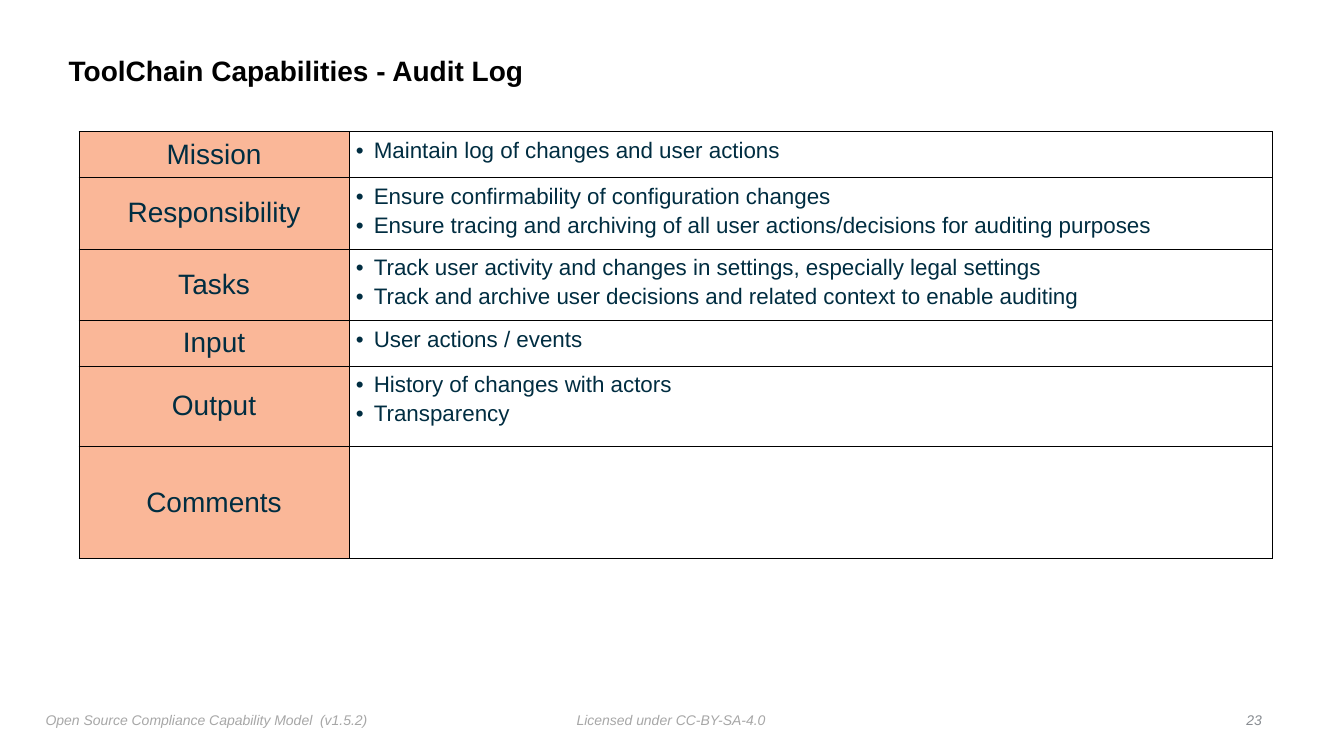
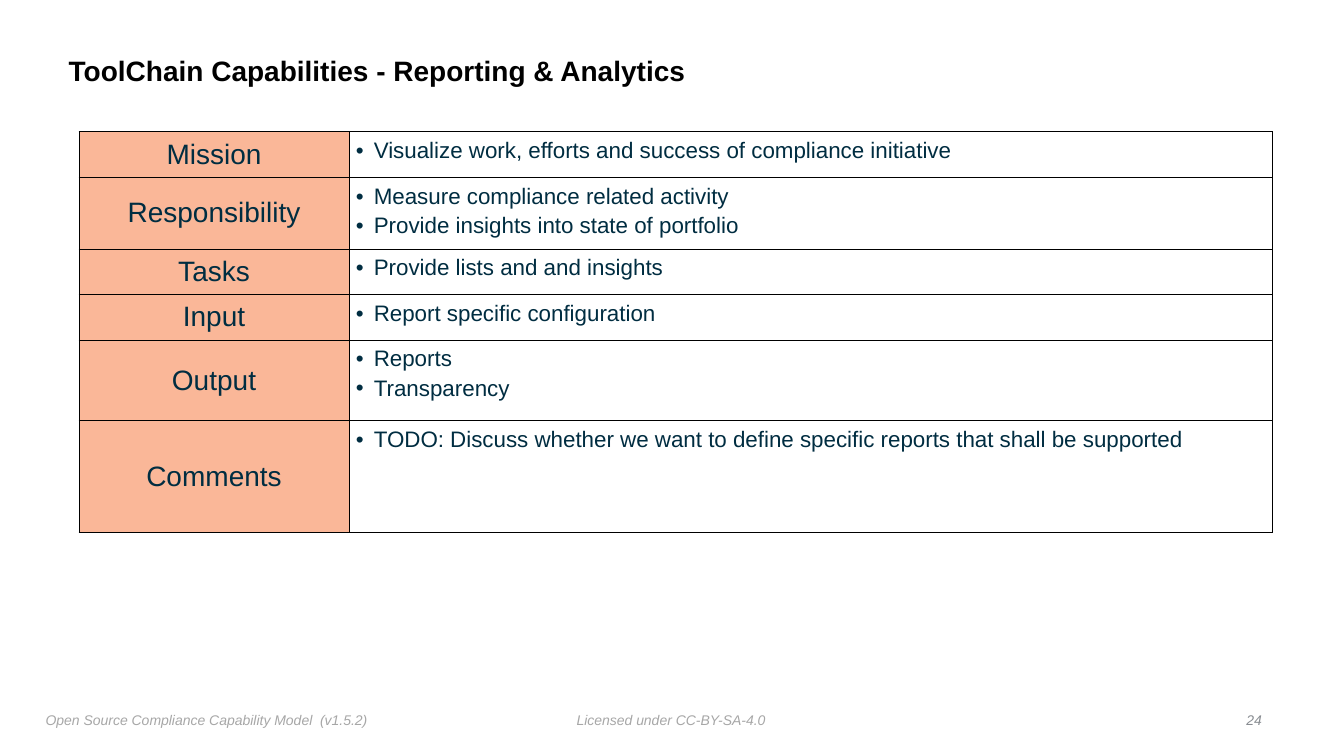
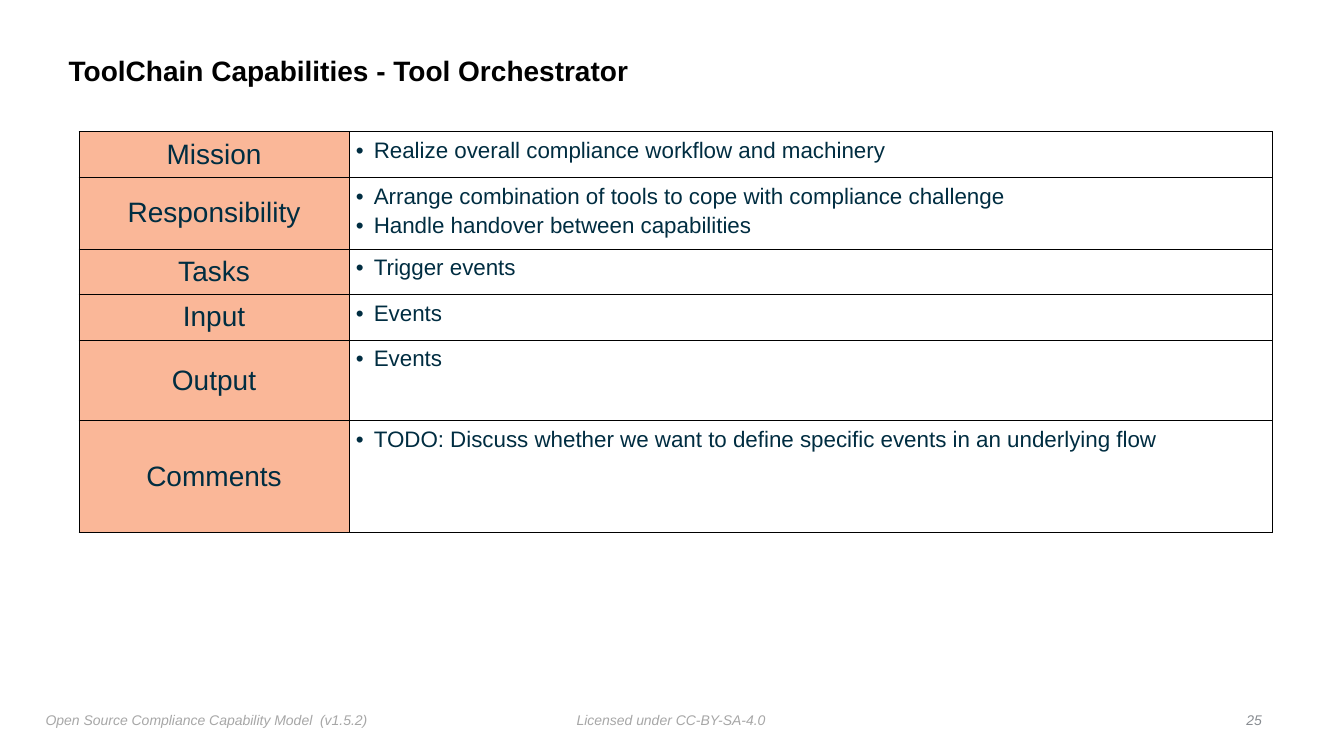
from lxml import etree
from pptx import Presentation
from pptx.dml.color import RGBColor
from pptx.enum.text import MSO_ANCHOR, MSO_AUTO_SIZE, PP_ALIGN
from pptx.oxml.ns import qn
from pptx.util import Cm, Pt

LEFT, CENTER, RIGHT = PP_ALIGN.LEFT, PP_ALIGN.CENTER, PP_ALIGN.RIGHT
TOP, MIDDLE = MSO_ANCHOR.TOP, MSO_ANCHOR.MIDDLE
NO_RESIZE = MSO_AUTO_SIZE.NONE

TOPICS = ["Mission", "Responsibility", "Tasks", "Input", "Output", "Comments"]
MINIMUM_HEIGHTS = [1.15, 1.15, 1.15, 1.15, 2.03, 2.82]
TWO_LINE_HEIGHT = 1.71
FIRST_PAGE = 23

CAPABILITIES = {
    "Audit Log": [
        ["Maintain log of changes and user actions"],
        ["Ensure confirmability of configuration changes",
         "Ensure tracing and archiving of all user actions/decisions for auditing purposes"],
        ["Track user activity and changes in settings, especially legal settings",
         "Track and archive user decisions and related context to enable auditing"],
        ["User actions / events"],
        ["History of changes with actors", "Transparency"],
        [],
    ],
    "Reporting & Analytics": [
        ["Visualize work, efforts and success of compliance initiative"],
        ["Measure compliance related activity", "Provide insights into state of portfolio"],
        ["Provide lists and and insights"],
        ["Report specific configuration"],
        ["Reports", "Transparency"],
        ["TODO: Discuss whether we want to define specific reports that shall be supported"],
    ],
    "Tool Orchestrator": [
        ["Realize overall compliance workflow and machinery"],
        ["Arrange combination of tools to cope with compliance challenge",
         "Handle handover between capabilities"],
        ["Trigger events"],
        ["Events"],
        ["Events"],
        ["TODO: Discuss whether we want to define specific events in an underlying flow"],
    ],
}


def color(value):
    return RGBColor.from_string(value)


class CapabilityDeck:
    font_name = "Arial"
    black = "000000"
    navy = "002D41"
    peach = "FAB798"
    footer_gray = "A7A7A7"
    number_gray = "888C91"

    def __init__(self):
        self.deck = Presentation()
        self.deck.slide_width = Cm(33.87)
        self.deck.slide_height = Cm(19.05)
        self.slide = None

    def format(self, para, size, hue, align=LEFT, bold=False, italic=False):
        para.alignment = align
        font = para.font
        font.name, font.size, font.bold, font.italic = self.font_name, Pt(size), bold, italic
        font.color.rgb = color(hue)

    def inset(self, target, margin):
        target.margin_left = target.margin_right = Cm(margin)
        target.margin_top = target.margin_bottom = Cm(margin)

    def add_page(self, title, number):
        self.slide = self.deck.slides.add_slide(self.deck.slide_layouts[5])
        self.title(title)
        self.footer("Licensed under CC-BY-SA-4.0", 14.4, 17.8, 5.05)
        self.footer("Open Source Compliance Capability Model  (v1.5.2)", 1.02, 17.8, 8.43)
        self.footer(str(number), 31.24, 17.83, 0.69, self.number_gray, RIGHT)

    def title(self, text):
        box = self.slide.shapes.title
        box.left, box.top, box.width, box.height = Cm(1.6), Cm(0.99), Cm(27.3), Cm(1.65)
        frame = box.text_frame
        frame.text = text
        frame.auto_size = NO_RESIZE
        frame.vertical_anchor = MIDDLE
        self.inset(frame, 0.13)
        para = frame.paragraphs[0]
        para.line_spacing = 0.9
        self.format(para, 20, self.black, bold=True)

    def footer(self, text, left, top, width, hue=footer_gray, align=LEFT):
        box = self.slide.shapes.add_textbox(Cm(left), Cm(top), Cm(width), Cm(0.64))
        frame = box.text_frame
        frame.text = text
        frame.word_wrap = False
        frame.vertical_anchor = MIDDLE if align == RIGHT else TOP
        self.inset(frame, 0.13)
        self.format(frame.paragraphs[0], 10, hue, align, italic=True)

    def table(self, entries):
        heights = [max(low, TWO_LINE_HEIGHT) if len(items) > 1 else low
                   for low, items in zip(MINIMUM_HEIGHTS, entries)]
        widths = [6.81, 23.26]
        frame = self.slide.shapes.add_table(len(TOPICS), 2, Cm(1.99), Cm(3.32),
                                            Cm(sum(widths)), Cm(sum(heights)))
        table = frame.table
        table.first_row = table.horz_banding = False
        for column, width in zip(table.columns, widths):
            column.width = Cm(width)
        for index, (topic, items) in enumerate(zip(TOPICS, entries)):
            table.rows[index].height = Cm(heights[index])
            self.topic_cell(table.cell(index, 0), topic)
            self.list_cell(table.cell(index, 1), items)

    def topic_cell(self, cell, topic):
        self.borders(cell)
        cell.fill.solid()
        cell.fill.fore_color.rgb = color(self.peach)
        cell.vertical_anchor = MIDDLE
        self.inset(cell, 0)
        cell.text_frame.text = topic
        self.format(cell.text_frame.paragraphs[0], 20, self.navy, CENTER)

    def list_cell(self, cell, items):
        self.borders(cell)
        cell.fill.background()
        self.inset(cell, 0.17)
        frame = cell.text_frame
        for index, item in enumerate(items):
            para = frame.add_paragraph() if index else frame.paragraphs[0]
            para.text = item
            if index:
                para.space_before = Pt(3)
            self.bullet(para)
            self.format(para, 16, self.navy)

    def bullet(self, para):
        properties = para._p.get_or_add_pPr()
        properties.set("marL", str(Cm(0.45)))
        properties.set("indent", str(-Cm(0.45)))
        etree.SubElement(properties, qn("a:buFont"), typeface=self.font_name)
        etree.SubElement(properties, qn("a:buChar"), char="•")

    def borders(self, cell):
        properties = cell._tc.get_or_add_tcPr()
        for side in ("lnL", "lnR", "lnT", "lnB"):
            line = etree.SubElement(properties, qn(f"a:{side}"), w=str(Pt(0.5)))
            fill = etree.SubElement(line, qn("a:solidFill"))
            etree.SubElement(fill, qn("a:srgbClr"), val=self.black)


def main():
    style = CapabilityDeck()
    for number, (name, entries) in enumerate(CAPABILITIES.items(), FIRST_PAGE):
        style.add_page(f"ToolChain Capabilities - {name}", number)
        style.table(entries)
    style.deck.save("out.pptx")


if __name__ == "__main__":
    main()
